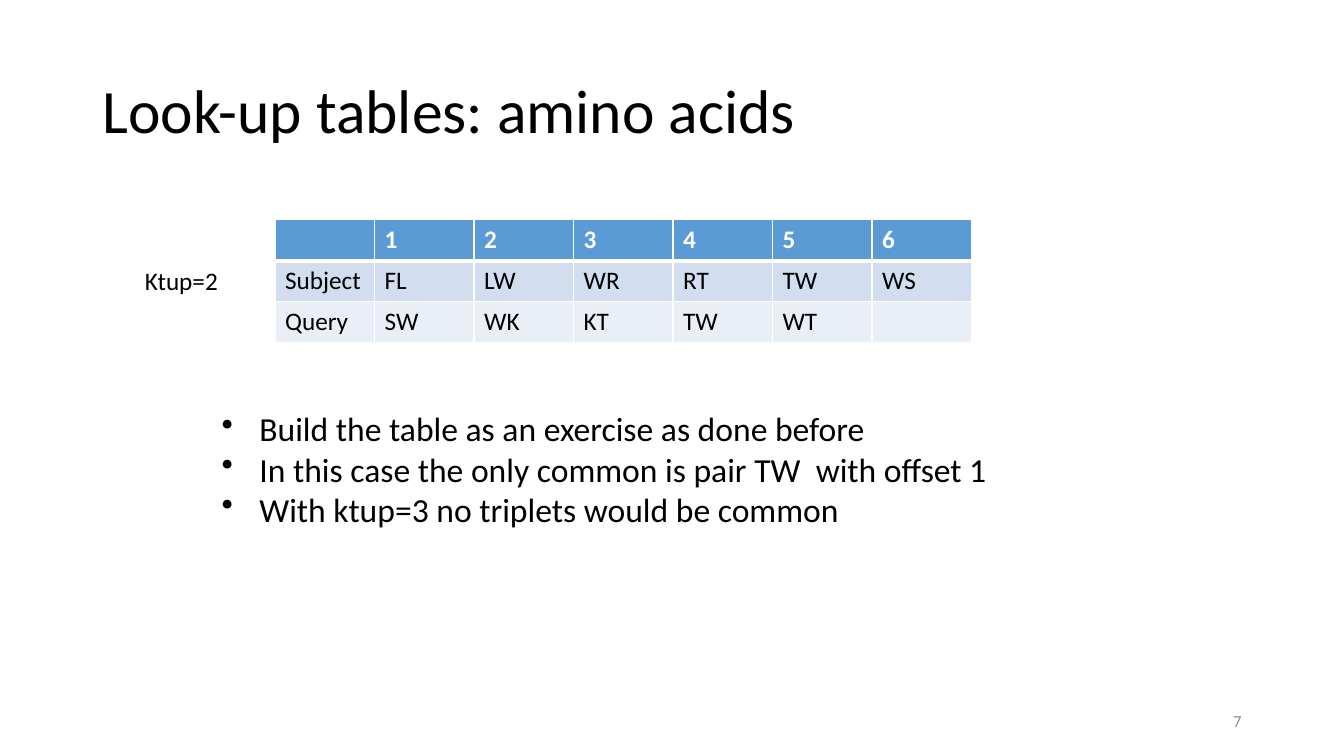
from lxml import etree
from pptx import Presentation
from pptx.dml.color import RGBColor
from pptx.enum.text import MSO_ANCHOR, PP_ALIGN
from pptx.oxml.ns import qn
from pptx.util import Pt

# Content
TITLE = "Look-up tables: amino acids"
TABLE_LABEL = "Ktup=2"
PAIRS = [
    ["", "1", "2", "3", "4", "5", "6"],
    ["Subject", "FL", "LW", "WR", "RT", "TW", "WS"],
    ["Query", "SW", "WK", "KT", "TW", "WT", ""],
]
NOTES = [
    "Build the table as an exercise as done before",
    "In this case the only common is pair TW  with offset 1",
    "With ktup=3 no triplets would be common",
]
PAGE_NUMBER = "7"

# Style, lengths in points
FONT = "+mn-lt"  # body font of the theme
COLORS = {"text": "000000", "white": "FFFFFF", "muted": "8C8C8C",
          "header": "5B9BD5", "subject": "D2DEEF", "query": "EAEFF7"}
ROW_FILLS = ["header", "subject", "query"]
COL_WIDTH, ROW_HEIGHT = 71.07, 29.2
BULLET_INDENT = 27

prs = Presentation()
prs.slide_width, prs.slide_height = Pt(960), Pt(540)
slide = prs.slides.add_slide(prs.slide_layouts[6])


def color(name):
    return RGBColor.from_string(COLORS[name])


def style(paragraph, size, color_name="text", bold=False):
    font = paragraph.font
    font.name, font.size, font.bold = FONT, Pt(size), bold
    font.color.rgb = color(color_name)


def add_text(box, lines, size, color_name="text", anchor=MSO_ANCHOR.TOP,
             align=PP_ALIGN.LEFT, wrap=True, spacing=1.0):
    frame = slide.shapes.add_textbox(*map(Pt, box)).text_frame
    frame.word_wrap, frame.vertical_anchor = wrap, anchor
    frame.text = "\n".join(lines)
    for paragraph in frame.paragraphs:
        style(paragraph, size, color_name)
        paragraph.alignment, paragraph.line_spacing = align, spacing
    return frame


def add_bullet(paragraph):
    props = paragraph._p.get_or_add_pPr()
    props.set("marL", str(Pt(BULLET_INDENT)))
    props.set("indent", str(-Pt(BULLET_INDENT)))
    bullet = etree.Element(qn("a:buChar"), char="•")
    props.insert_element_before(bullet, "a:tabLst", "a:defRPr", "a:extLst")


def set_borders(cell, widths):
    props = cell._tc.get_or_add_tcPr()
    for index, (side, width) in enumerate(widths.items()):
        line = etree.Element(qn(f"a:ln{side}"), w=str(Pt(width)))
        fill = etree.SubElement(line, qn("a:solidFill"))
        etree.SubElement(fill, qn("a:srgbClr"), val=COLORS["white"])
        props.insert(index, line)


# Title
add_text((66, 28.75, 828, 104.4), [TITLE], 44, anchor=MSO_ANCHOR.MIDDLE, spacing=0.9)

# Table of pairs
row_count, col_count = len(PAIRS), len(PAIRS[0])
table = slide.shapes.add_table(
    row_count, col_count, Pt(196.5), Pt(157),
    Pt(COL_WIDTH * col_count), Pt(ROW_HEIGHT * row_count)).table
for column in table.columns:
    column.width = Pt(COL_WIDTH)
for r, (values, fill_name) in enumerate(zip(PAIRS, ROW_FILLS)):
    table.rows[r].height = Pt(ROW_HEIGHT)
    is_header = r == 0
    for c, value in enumerate(values):
        cell = table.cell(r, c)
        cell.text = value
        style(cell.text_frame.paragraphs[0], 18, "white" if is_header else "text", is_header)
        cell.fill.solid()
        cell.fill.fore_color.rgb = color(fill_name)
        set_borders(cell, {"L": 1, "R": 1, "T": 3 if r == 1 else 1, "B": 3 if is_header else 1})

# Table label and page number
add_text((96.5, 185.8, 67, 29), [TABLE_LABEL], 18, wrap=False)
add_text((678, 500.5, 216, 28.75), [PAGE_NUMBER], 12, "muted",
         MSO_ANCHOR.MIDDLE, PP_ALIGN.RIGHT)

# Bulleted notes
for paragraph in add_text((151.2, 288, 573, 94.5), NOTES, 24).paragraphs:
    add_bullet(paragraph)

prs.save("out.pptx")
